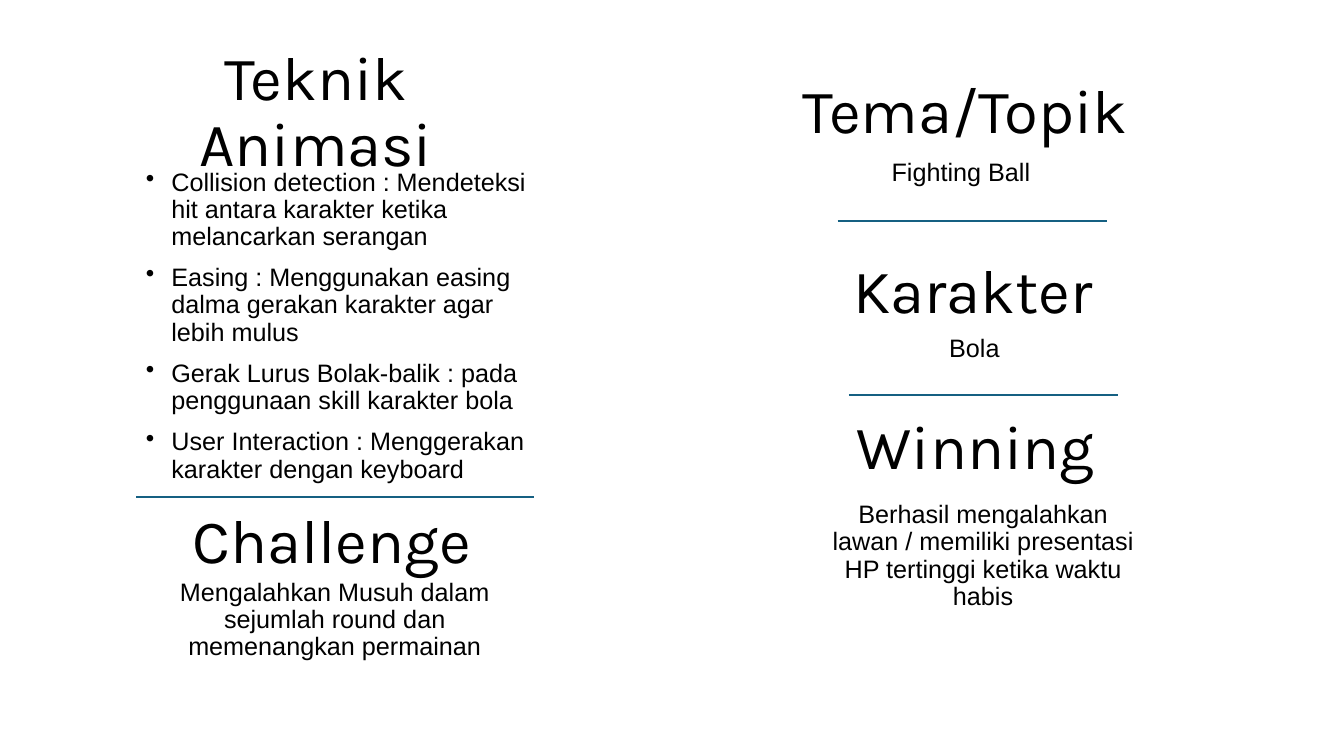
from lxml import etree
from pptx import Presentation
from pptx.dml.color import RGBColor
from pptx.enum import shapes, text
from pptx.oxml.ns import qn
from pptx.util import Cm, Pt

BLACK, BLUE = "000000", "156082"
LEFT, CENTER = text.PP_ALIGN.LEFT, text.PP_ALIGN.CENTER
HEADING_H, NOTE_H = 3.68, 2.69

TITLE = ("Teknik Animasi", 2.34, 1.02, 11.25)
# wording, left, top, width in cm
HEADINGS = [
    ("Tema/Topik", 16.94, 1.02, 14.78),
    ("Karakter", 18.9, 5.56, 11.25),
    ("Winning", 18.97, 9.5, 11.25),
    ("Challenge", 2.74, 11.86, 11.25),
]
TECHNIQUES = [
    "Collision detection : Mendeteksi hit antara karakter ketika melancarkan serangan",
    "Easing : Menggunakan easing dalma gerakan karakter agar lebih mulus",
    "Gerak Lurus Bolak-balik : pada penggunaan skill karakter bola",
    "User Interaction : Menggerakan karakter dengan keyboard",
]
# wording, left, top, width in cm, alignment
NOTES = [
    ("Fighting Ball", 22.22, 3.89, 4.75, LEFT),
    ("Bola", 23.67, 8.33, 4.75, LEFT),
    ("Berhasil mengalahkan lawan / memiliki presentasi HP tertinggi ketika waktu habis",
     20.29, 12.52, 8.97, CENTER),
    ("Mengalahkan Musuh dalam sejumlah round dan memenangkan permainan",
     3.23, 14.48, 10.41, CENTER),
]
# start, end, height on the slide in cm
RULES = [(21.11, 27.89, 5.56), (21.39, 28.17, 9.96), (3.43, 13.46, 12.52)]


def color(value):
    return RGBColor.from_string(value)


def write(sp, lines, font, size, align, before=0, anchor=text.MSO_ANCHOR.TOP):
    """Fill a shape with one paragraph per line, all formatted alike."""
    tf = sp.text_frame
    tf.text = "\n".join(lines)
    tf.word_wrap = True
    tf.auto_size = text.MSO_AUTO_SIZE.NONE
    tf.vertical_anchor = anchor
    for p in tf.paragraphs:
        p.alignment = align
        p.line_spacing = 0.9
        p.space_before = Pt(before)
        p.font.name, p.font.size = font, Pt(size)
        p.font.color.rgb = color(BLACK)


def write_heading(sp, wording):
    write(sp, [wording], "Karla", 44, CENTER, anchor=text.MSO_ANCHOR.MIDDLE)


def write_body(sp, lines, align):
    write(sp, lines, "Arial", 18, align, before=10)


def add_bullet(p):
    pPr = p._p.get_or_add_pPr()
    pPr.set("marL", str(Cm(0.64)))
    pPr.set("indent", str(-Cm(0.64)))
    bullet = etree.Element(qn("a:buChar"), char="•")
    pPr.find(qn("a:defRPr")).addprevious(bullet)


def add_rule(slide, start, end, y):
    line = slide.shapes.add_connector(
        shapes.MSO_CONNECTOR.STRAIGHT, Cm(start), Cm(y), Cm(end), Cm(y))
    line.line.color.rgb = color(BLUE)
    line.line.width = Pt(1.5)
    etree.SubElement(line._element.spPr, qn("a:effectLst"))


def add_box(slide, left, top, width, height):
    return slide.shapes.add_textbox(Cm(left), Cm(top), Cm(width), Cm(height))


def main():
    prs = Presentation()
    prs.slide_width, prs.slide_height = Cm(33.87), Cm(19.05)
    slide = prs.slides.add_slide(prs.slide_layouts[5])

    wording, left, top, width = TITLE
    title = slide.shapes.title
    title.left, title.top = Cm(left), Cm(top)
    title.width, title.height = Cm(width), Cm(HEADING_H)
    write_heading(title, wording)

    techniques = add_box(slide, 3.43, 4.14, 10.57, 8.41)
    write_body(techniques, TECHNIQUES, LEFT)
    for p in techniques.text_frame.paragraphs:
        add_bullet(p)

    for wording, left, top, width in HEADINGS:
        write_heading(add_box(slide, left, top, width, HEADING_H), wording)
    for wording, left, top, width, align in NOTES:
        write_body(add_box(slide, left, top, width, NOTE_H), [wording], align)
    for rule in RULES:
        add_rule(slide, *rule)

    prs.save("out.pptx")


if __name__ == "__main__":
    main()
